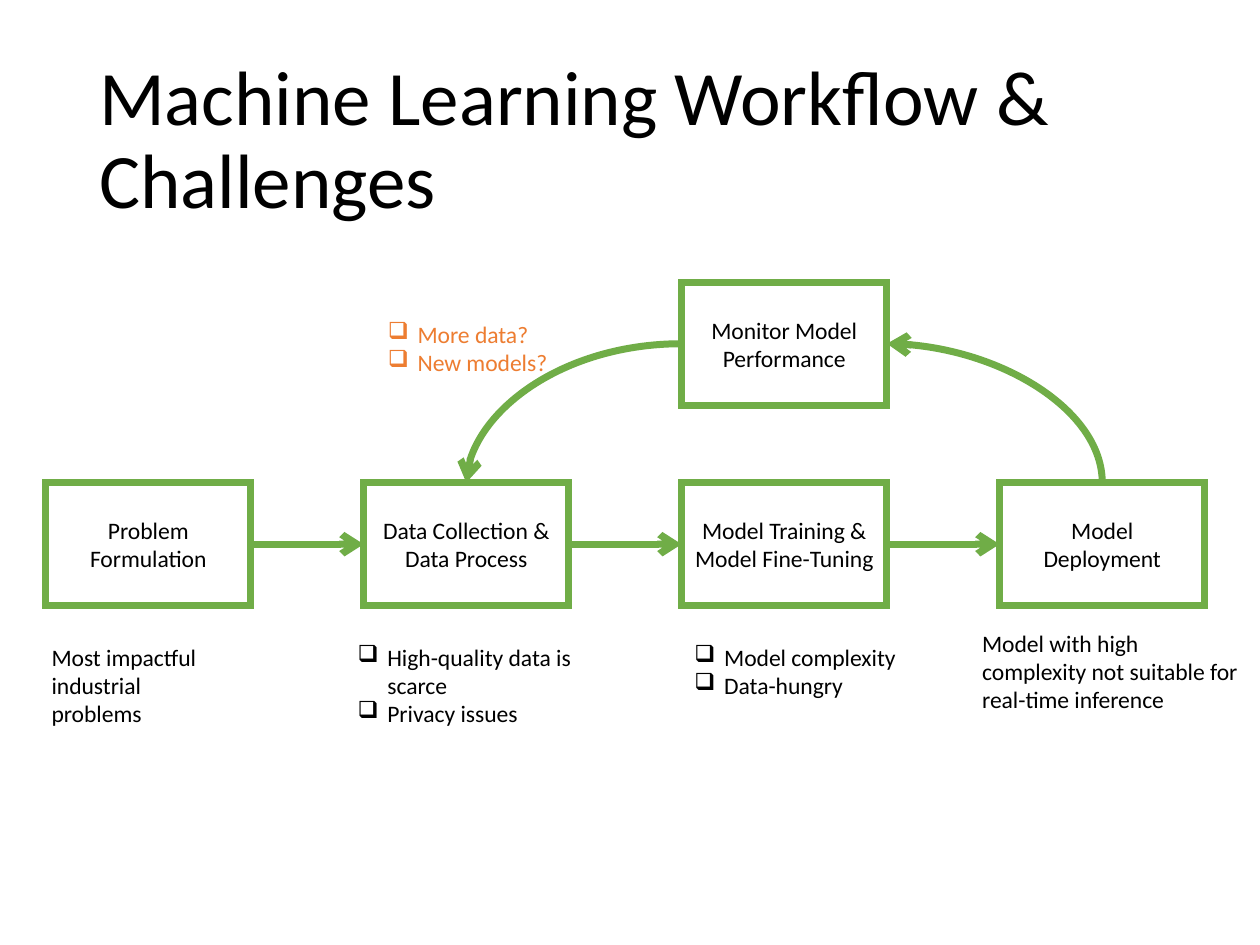
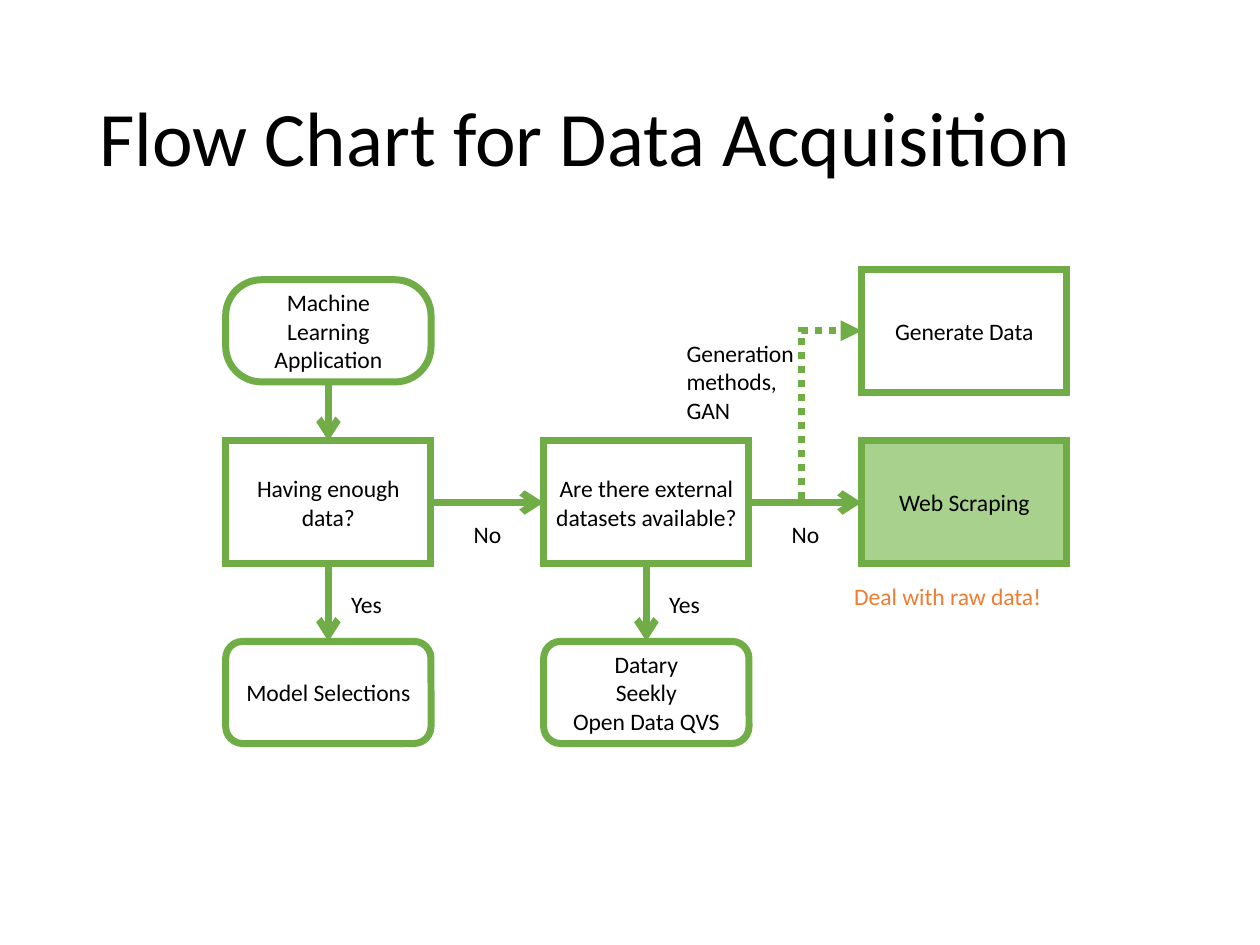
from dataclasses import dataclass

from lxml.etree import SubElement
from pptx import Presentation
from pptx.dml.color import RGBColor as RGB
from pptx.enum.dml import MSO_LINE as Dash
from pptx.enum.shapes import MSO_CONNECTOR as Link, MSO_SHAPE as Shape
from pptx.enum.text import MSO_ANCHOR as Anchor, PP_ALIGN as Align
from pptx.oxml.ns import qn
from pptx.util import Cm, Pt


@dataclass(frozen=True)
class Theme:
    font: str = "Calibri"
    title_size: float = 44
    body_size: float = 13.5
    line_width: float = 4
    ink: RGB = RGB(0x00, 0x00, 0x00)
    paper: RGB = RGB(0xFF, 0xFF, 0xFF)
    green: RGB = RGB(0x70, 0xAD, 0x47)
    light_green: RGB = RGB(0xA9, 0xD1, 0x8E)
    orange: RGB = RGB(0xED, 0x7D, 0x31)


THEME = Theme()
TOP, LEFT, BOTTOM, RIGHT = range(4)

# Shared grid, in centimetres
STEP_W, STEP_H, ROUND_H = 4.14, 2.48, 2.06
COLUMN_PITCH = 6.41


def columns(first, count):
    return [first + i * COLUMN_PITCH for i in range(count)]


def write_text(shape, lines, size=THEME.body_size, color=THEME.ink, align=Align.LEFT,
               anchor=Anchor.TOP, wrap=True, bullet=None, spacing=None):
    frame = shape.text_frame
    frame.word_wrap = wrap
    frame.vertical_anchor = anchor
    for i, line in enumerate(lines):
        paragraph = frame.paragraphs[0] if i == 0 else frame.add_paragraph()
        paragraph.alignment = align
        if spacing:
            paragraph.line_spacing = spacing
        if bullet:
            props = paragraph._p.get_or_add_pPr()
            props.set("marL", str(Cm(0.6)))
            props.set("indent", str(-Cm(0.6)))
            SubElement(props, qn("a:buChar"), char=bullet)
        run = paragraph.add_run()
        run.text = line
        run.font.name = THEME.font
        run.font.size = Pt(size)
        run.font.color.rgb = color


def add_note(slide, lines, left, top, width, height, **text_format):
    note = slide.shapes.add_textbox(Cm(left), Cm(top), Cm(width), Cm(height))
    write_text(note, lines, **text_format)


def add_titled_slide(deck, title):
    slide = deck.slides.add_slide(deck.slide_layouts[6])
    add_note(slide, [title], 1.75, 1.02, 21.9, 3.68, size=THEME.title_size,
             anchor=Anchor.MIDDLE, spacing=0.9)
    return slide


def style_line(shape, dash=None):
    shape.line.color.rgb = THEME.green
    shape.line.width = Pt(THEME.line_width)
    if dash:
        shape.line.dash_style = dash
    outline = shape._element.spPr.find(qn("a:ln"))
    SubElement(outline, qn("a:miter"), lim="800000")
    return outline


def add_step(slide, lines, left, top, height=STEP_H, kind=Shape.RECTANGLE,
             fill=THEME.paper, corner=None):
    step = slide.shapes.add_shape(kind, Cm(left), Cm(top), Cm(STEP_W), Cm(height))
    step.shadow.inherit = False
    step.fill.solid()
    step.fill.fore_color.rgb = fill
    style_line(step)
    if corner:
        step.adjustments[0] = corner
    step.text_frame.margin_left = step.text_frame.margin_right = Cm(0.22)
    write_text(step, lines, align=Align.CENTER, anchor=Anchor.MIDDLE)
    return step


def add_rounded_step(slide, lines, left, top, corner=None):
    return add_step(slide, lines, left, top, ROUND_H, Shape.ROUNDED_RECTANGLE, corner=corner)


def side_point(step, side):
    middle_x, middle_y = step.left + step.width // 2, step.top + step.height // 2
    return {TOP: (middle_x, step.top), LEFT: (step.left, middle_y),
            BOTTOM: (middle_x, step.top + step.height),
            RIGHT: (step.left + step.width, middle_y)}[side]


def finish_arrow(arrow, head="arrow", dash=None):
    outline = style_line(arrow, dash)
    SubElement(outline, qn("a:tailEnd"), type=head)
    SubElement(arrow._element.spPr, qn("a:effectLst"))


def add_arrow(slide, source, target, out_side=RIGHT, in_side=LEFT):
    arrow = slide.shapes.add_connector(Link.STRAIGHT, *side_point(source, out_side),
                                       *side_point(target, in_side))
    arrow.begin_connect(source, out_side)
    arrow.end_connect(target, in_side)
    finish_arrow(arrow)


def add_curve(slide, source, out_side, target, in_side, rotation):
    """Quarter-turn arrow; its frame is laid out before rotation."""
    x1, y1 = side_point(source, out_side)
    x2, y2 = side_point(target, in_side)
    width, height = abs(x2 - x1), abs(y2 - y1)
    if rotation % 180:
        width, height = height, width
    left, top = (x1 + x2 - width) // 2, (y1 + y2 - height) // 2
    curve = slide.shapes.add_connector(Link.CURVE, left, top + height, left + width, top)
    props = curve._element.spPr
    props.find(qn("a:xfrm")).set("rot", str(rotation * 60000))
    props.find(qn("a:prstGeom")).set("prst", "curvedConnector2")
    finish_arrow(curve)


def add_dotted_elbow(slide, source, target, bend):
    elbow = slide.shapes.add_connector(Link.ELBOW, *side_point(source, RIGHT),
                                       *side_point(target, LEFT))
    geometry = elbow._element.spPr.find(qn("a:prstGeom"))
    guides = geometry.find(qn("a:avLst"))
    if guides is None:
        guides = SubElement(geometry, qn("a:avLst"))
    SubElement(guides, qn("a:gd"), name="adj1", fmla=f"val {round(bend * 100000)}")
    finish_arrow(elbow, head="triangle", dash=Dash.ROUND_DOT)


def build_workflow(deck):
    slide = add_titled_slide(deck, "Machine Learning Workflow & Challenges")

    # Main workflow
    lefts = columns(0.92, 4)
    stages = ["Problem Formulation", "Data Collection & Data Process",
              "Model Training & Model Fine-Tuning", "Model Deployment"]
    steps = [add_step(slide, [stage], left, 9.73) for stage, left in zip(stages, lefts)]
    for source, target in zip(steps, steps[1:]):
        add_arrow(slide, source, target)

    # Feedback loop
    monitor = add_step(slide, ["Monitor Model Performance"], lefts[2], 5.69)
    add_curve(slide, steps[3], TOP, monitor, RIGHT, 270)
    add_curve(slide, monitor, LEFT, steps[1], TOP, 180)
    add_note(slide, ["More data?", "New models?"], 7.57, 6.32, 3.76, 1.42,
             color=THEME.orange, wrap=False, bullet="❑")

    # Challenges under each stage
    add_note(slide, ["Most impactful industrial problems"], 0.79, 12.83, 4.04, 1.98)
    add_note(slide, ["High-quality data is scarce", "Privacy issues"],
             6.96, 12.83, 4.85, 1.98, bullet="❑")
    add_note(slide, ["Model complexity", "Data-hungry"], 13.75, 12.83, 4.62, 1.42,
             wrap=False, bullet="❑")
    add_note(slide, ["Model with high complexity not suitable for real-time inference"],
             19.55, 12.55, 5.77, 1.98)


def build_data_acquisition(deck):
    slide = add_titled_slide(deck, "Flow Chart for Data Acquisition")
    own, external, collect = columns(4.55, 3)
    question_top, outcome_top = 8.89, 12.93

    # Questions and outcomes
    enough = add_step(slide, ["Having enough data?"], own, question_top)
    available = add_step(slide, ["Are there external datasets available?"],
                         external, question_top)
    scraping = add_step(slide, ["Web Scraping"], collect, question_top,
                        fill=THEME.light_green)
    generate = add_step(slide, ["Generate Data"], collect, 5.43)
    application = add_rounded_step(slide, ["Machine Learning Application"], own, 5.64,
                                   corner=0.35)
    selections = add_rounded_step(slide, ["Model Selections"], own, outcome_top)
    sources = add_rounded_step(slide, ["Datary", "Seekly", "Open Data QVS"],
                               external, outcome_top)

    # Arrows
    add_arrow(slide, available, scraping)
    add_arrow(slide, enough, available)
    for upper, lower in [(application, enough), (enough, selections), (available, sources)]:
        add_arrow(slide, upper, lower, BOTTOM, TOP)
    add_dotted_elbow(slide, available, generate, 0.47)

    # Answers beside the arrows
    for left in (own, external):
        add_note(slide, ["Yes"], left + 2.28, 11.76, 1.14, 0.84, wrap=False)
        add_note(slide, ["No"], left + 4.75, 10.35, 1.07, 0.84, wrap=False)

    # Remarks
    add_note(slide, ["Generation methods, GAN"], 13.59, 6.71, 3.07, 1.98)
    add_note(slide, ["Deal with raw data!"], 16.97, 11.61, 4.34, 0.84,
             color=THEME.orange, wrap=False)


def main():
    deck = Presentation()
    deck.slide_width, deck.slide_height = Cm(25.4), Cm(19.05)
    build_workflow(deck)
    build_data_acquisition(deck)
    deck.save("out.pptx")


if __name__ == "__main__":
    main()
